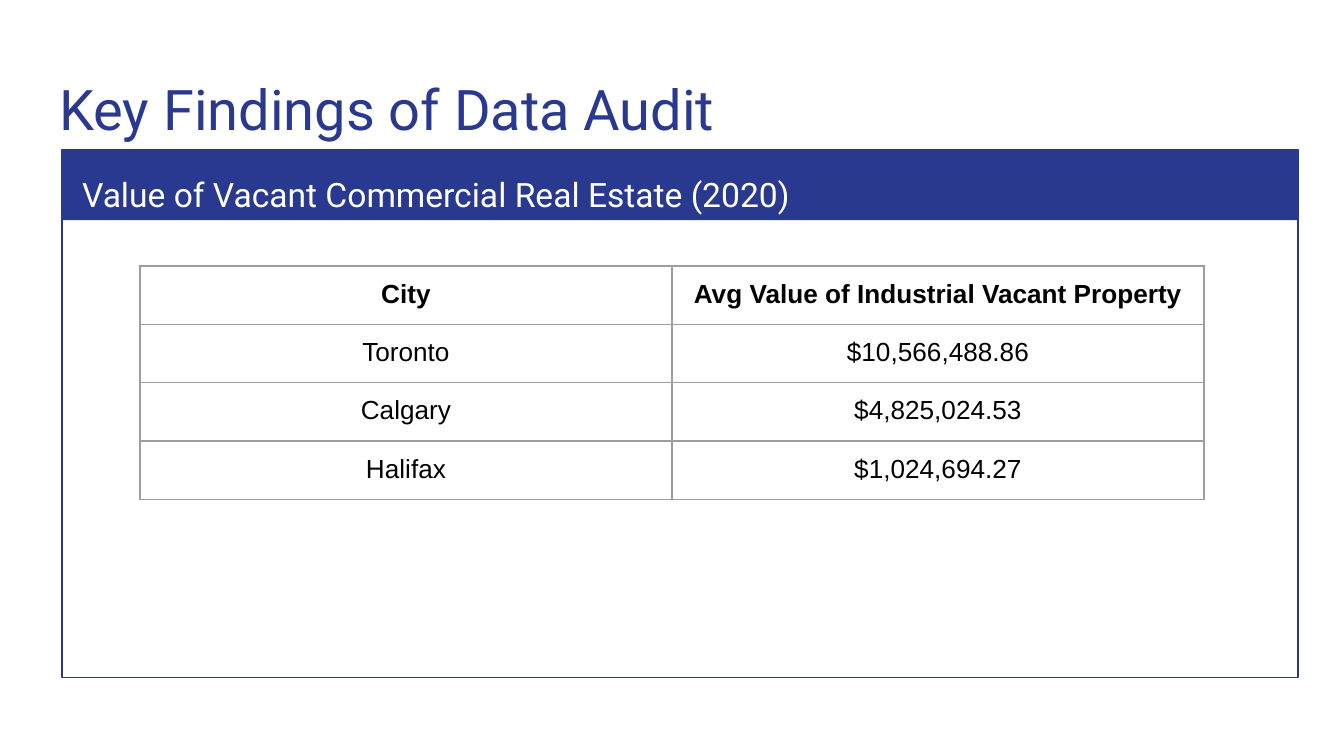
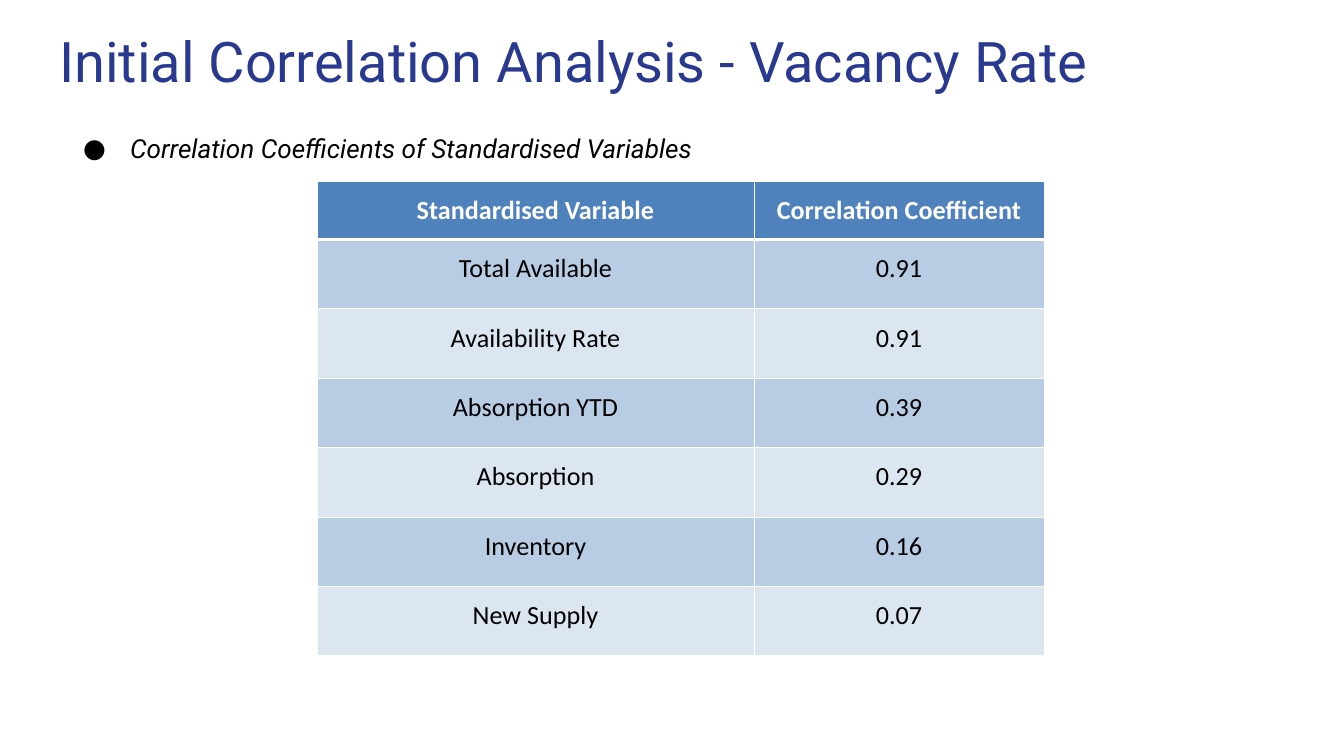
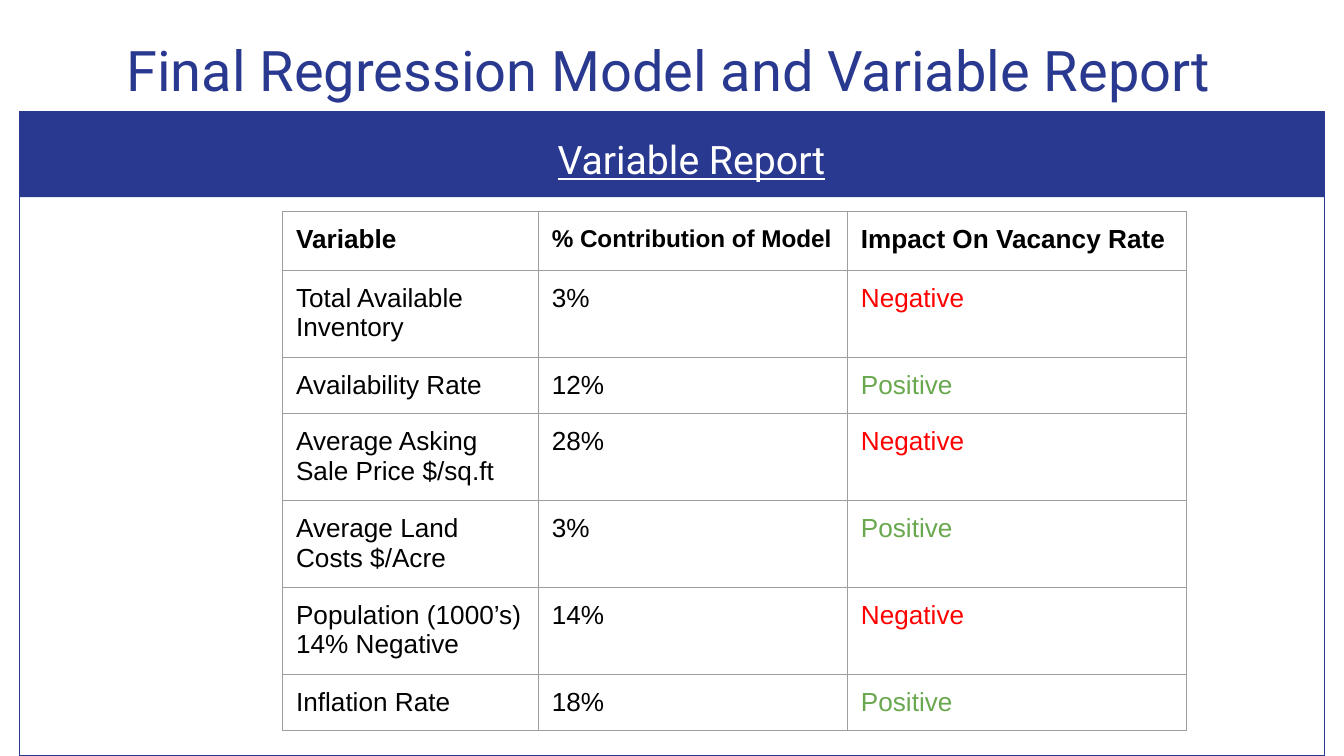
from pptx import Presentation
from pptx.dml.color import RGBColor
from pptx.enum.shapes import MSO_SHAPE as Shape
from pptx.enum.text import MSO_ANCHOR as Anchor, MSO_AUTO_SIZE as Auto, PP_ALIGN as Align
from pptx.oxml.ns import qn
from pptx.util import Pt
from lxml.etree import SubElement as Sub

NAVY, WHITE, BLACK, GREY = "2A3990", "FFFFFF", "000000", "9E9E9E"
BLUE, MID, PALE = "4F81BD", "B8CCE4", "DCE6F1"
TONES = {"Negative": "FF0000", "Positive": "6AA84F"}
HEAD = "Roboto"
INSET = 7.2


def tint(code):
    return RGBColor.from_string(code)


def place(shape, box):
    shape.left, shape.top, shape.width, shape.height = map(Pt, box)


def pad(frame):
    frame.margin_left = frame.margin_right = Pt(INSET)
    frame.margin_top = frame.margin_bottom = Pt(INSET)


def write(para, text, size, face, color, bold=False, italic=False, under=False):
    run = para.add_run()
    run.text = text
    font = run.font
    font.size, font.name = Pt(size), face
    font.bold, font.italic, font.underline = bold, italic, under
    font.color.rgb = tint(color)


def new_slide(deck, title, left, top):
    slide = deck.slides.add_slide(deck.slide_layouts[5])
    shape = slide.shapes.title
    place(shape, (left, top, 671, 47.5))
    frame = shape.text_frame
    pad(frame)
    frame.word_wrap = True
    frame.auto_size = Auto.NONE
    frame.vertical_anchor = Anchor.TOP
    para = frame.paragraphs[0]
    para.alignment = Align.LEFT
    write(para, title, 30, HEAD, NAVY)
    return slide


def add_text(slide, box, text, size, color, **style):
    shape = slide.shapes.add_textbox(*map(Pt, box))
    frame = shape.text_frame
    pad(frame)
    frame.word_wrap = True
    para = frame.paragraphs[0]
    write(para, text, size, HEAD, color, **style)
    return para


def add_bullet(para):
    props = para._p.get_or_add_pPr()
    props.set("marL", str(Pt(36)))
    props.set("indent", str(Pt(-25.2)))
    Sub(Sub(props, qn("a:buClr")), qn("a:srgbClr"), val=BLACK)
    Sub(props, qn("a:buFont"), typeface=HEAD)
    Sub(props, qn("a:buChar"), char="●")


def add_panel(slide, box, band):
    left, top, width, height = box
    group = slide.shapes.add_group_shape()
    for tall in (band, height):
        rect = group.shapes.add_shape(Shape.RECTANGLE, *map(Pt, (left, top, width, tall)))
        rect.shadow.inherit = False
        if tall == band:
            rect.fill.solid()
            rect.fill.fore_color.rgb = tint(NAVY)
            rect.line.fill.background()
        else:
            rect.fill.background()
            rect.line.color.rgb = tint(NAVY)
            rect.line.width = Pt(0.75)


def add_edges(cell, color, widths):
    props = cell._tc.get_or_add_tcPr()
    for side, width in zip("LRTB", widths):
        line = Sub(props, qn(f"a:ln{side}"), w=str(Pt(width)))
        Sub(Sub(line, qn("a:solidFill")), qn("a:srgbClr"), val=color)


def add_grid(slide, left, top, cols, tall, rows, look):
    box = map(Pt, (left, top, sum(cols), sum(tall)))
    table = slide.shapes.add_table(len(rows), len(cols), *box).table
    table.first_row = table.horz_banding = False
    for col, width in zip(table.columns, cols):
        col.width = Pt(width)
    for r, (row, height) in enumerate(zip(rows, tall)):
        table.rows[r].height = Pt(height)
        for c, text in enumerate(row):
            look(table.cell(r, c), r, c, text)


def fill_cell(cell, text, size, face, color, bold, align):
    pad(cell)
    para = cell.text_frame.paragraphs[0]
    para.alignment = align
    write(para, text, size, face, color, bold=bold)


def plain_look(align, sizes):
    def look(cell, r, c, text):
        add_edges(cell, GREY, [0.75] * 4)
        cell.fill.background()
        size = sizes[c] if r == 0 else 14
        fill_cell(cell, text, size, "Arial", TONES.get(text, BLACK), r == 0, align)
    return look


def band_look(cell, r, c, text):
    above = 1.5 if r == 1 else 0.5
    below = 1.5 if r == 0 else 0.5
    add_edges(cell, WHITE, [0.5, 0.5, above, below])
    cell.fill.solid()
    cell.fill.fore_color.rgb = tint(BLUE if r == 0 else MID if r % 2 else PALE)
    fill_cell(cell, text, 14, "Calibri", BLACK if r else WHITE, r == 0, Align.CENTER)


def show_value(deck):
    slide = new_slide(deck, "Key Findings of Data Audit", 24.5, 32.5)
    add_panel(slide, (33.2, 80, 662.3, 283), 38)
    label = add_text(slide, (36.9, 82.8, 394.5, 36),
                     "Value of Vacant Commercial Real Estate (2020)", 18, WHITE)
    label.line_spacing = 1.15
    rows = [
        ("City", "Avg Value of Industrial Vacant Property"),
        ("Toronto", "$10,566,488.86"),
        ("Calgary", "$4,825,024.53"),
        ("Halifax", "$1,024,694.27"),
    ]
    add_grid(slide, 75, 142.5, [285] * 2, [31] * 4, rows,
             plain_look(Align.CENTER, (14, 14)))


def show_links(deck):
    slide = new_slide(deck, "Initial Correlation Analysis - Vacancy Rate", 24.5, 7.2)
    note = add_text(slide, (26.6, 64, 684.7, 88),
                    "Correlation Coefficients of Standardised Variables", 14, BLACK, italic=True)
    add_bullet(note)
    rows = [
        ("Standardised Variable", "Correlation Coefficient"),
        ("Total Available", "0.91"),
        ("Availability Rate", "0.91"),
        ("Absorption YTD", "0.39"),
        ("Absorption", "0.29"),
        ("Inventory", "0.16"),
        ("New Supply", "0.07"),
    ]
    add_grid(slide, 169.9, 97, [234, 155.5], [31] + [37.2] * 6, rows, band_look)


def show_model(deck):
    slide = new_slide(deck, "Final Regression Model and Variable Report", 60.5, 11.7)
    add_panel(slide, (10.5, 59.6, 699, 345.4), 46)
    rows = [
        ("Variable", "% Contribution of Model", "Impact On Vacancy Rate"),
        ("Total Available Inventory", "3%", "Negative"),
        ("Availability Rate", "12%", "Positive"),
        ("Average Asking Sale Price $/sq.ft", "28%", "Negative"),
        ("Average Land Costs $/Acre", "3%", "Positive"),
        ("Population (1000’s) 14% Negative", "14%", "Negative"),
        ("Inflation Rate", "18%", "Positive"),
    ]
    tall = [31.4] + [46.6 if len(row[0]) > 20 else 30.2 for row in rows[1:]]
    add_grid(slide, 151.4, 113.4, [137, 165.6, 181.5], tall, rows,
             plain_look(Align.LEFT, (14, 13, 14)))
    add_text(slide, (291.6, 65.5, 229, 40), "Variable Report", 21, WHITE, under=True)


def main():
    deck = Presentation()
    deck.slide_width, deck.slide_height = Pt(720), Pt(405)
    show_value(deck)
    show_links(deck)
    show_model(deck)
    deck.save("out.pptx")


if __name__ == "__main__":
    main()
